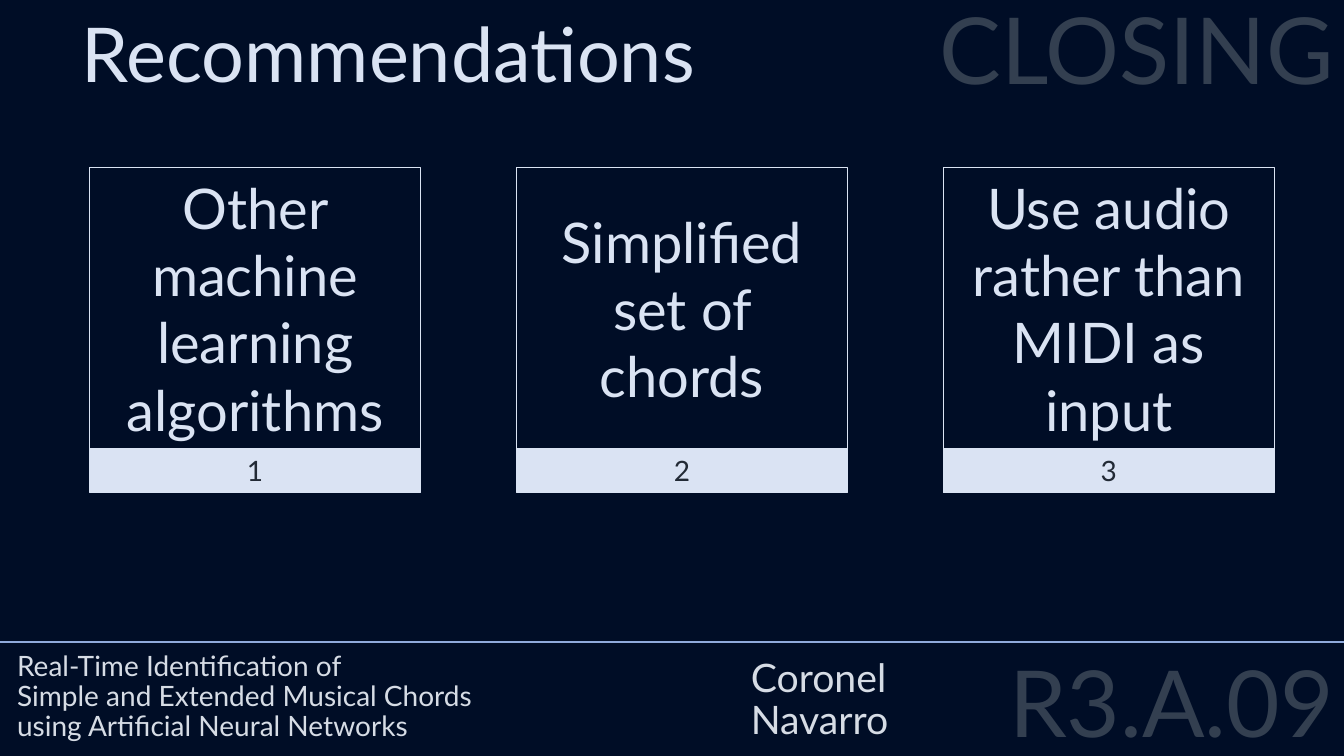
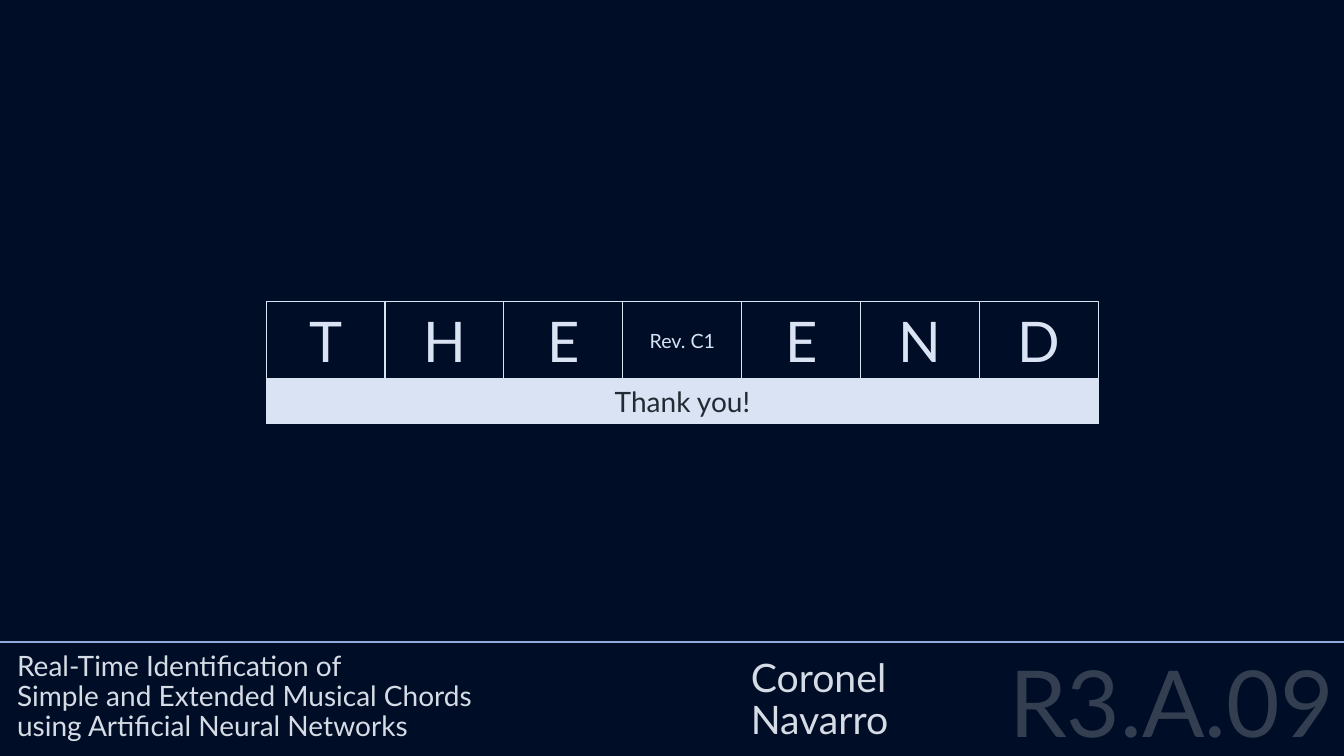
from dataclasses import dataclass
from typing import Any

from lxml.etree import SubElement
from pptx import Presentation
from pptx.dml.color import RGBColor
from pptx.enum.shapes import MSO_CONNECTOR, MSO_SHAPE
from pptx.enum.text import MSO_ANCHOR as Anchor, MSO_AUTO_SIZE as AutoSize, PP_ALIGN as Align
from pptx.oxml.ns import qn
from pptx.slide import Slide
from pptx.util import Inches, Pt

WIDTH, HEIGHT = Inches(13.33), Inches(7.5)
FONT = "Lato"
NAVY, PALE, INK = "000D26", "DAE3F3", "222A35"
GREY, SLATE, BLUE = "D6DCE5", "333F50", "8FAADC"


@dataclass(frozen=True)
class Area:
    """Left, top, width and height as percentages of the slide."""
    left: float
    top: float
    width: float
    height: float

    def emu(self) -> tuple[int, int, int, int]:
        return (across(self.left), down(self.top), across(self.width), down(self.height))

    def column(self, index: int, pitch: float) -> "Area":
        return Area(self.left + index * pitch, self.top, self.width, self.height)

    def below(self, height: float, width: float | None = None) -> "Area":
        return Area(self.left, self.top + self.height, width or self.width, height)


@dataclass(frozen=True)
class Style:
    size: float
    color: str
    align: Align = Align.LEFT
    anchor: Anchor = Anchor.TOP
    line_spacing: float = 1.0
    space_before: float = 0
    grow: bool = False


@dataclass(frozen=True)
class Caption:
    """Text whose paragraphs are split by newlines and lines by vertical tabs."""
    text: str
    area: Area
    style: Style


CODE = Style(66, SLATE, Align.RIGHT, line_spacing=0.8, space_before=10)
SECTION = Style(66, SLATE, Align.RIGHT, line_spacing=0.9, space_before=10)
TITLE = Style(54, PALE, grow=True)
AUTHORS = Style(28, GREY, anchor=Anchor.BOTTOM, line_spacing=0.9)
THESIS = Style(20, GREY, anchor=Anchor.BOTTOM, line_spacing=0.9)
ADVICE = Style(40, PALE, Align.CENTER, Anchor.MIDDLE, grow=True)
LETTER = Style(40, PALE, Align.CENTER, grow=True)
REVISION = Style(14, PALE, Align.CENTER, Anchor.MIDDLE, grow=True)
LABEL = Style(20, INK, Align.CENTER, grow=True)

RULE_TOP = 84.93
LABEL_HEIGHT = 5.87
FOOTER = (
    Caption("R3.A.09", Area(63.47, 87.47, 36.53, 13.87), CODE),
    Caption("Coronel\nNavarro", Area(55.13, 59.07, 38.25, 39.87), AUTHORS),
    Caption("Real-Time Identification of \vSimple and Extended Musical Chords \v"
            "using Artificial Neural Networks", Area(0.53, 59.07, 54.6, 39.87), THESIS),
)
HEADINGS = (
    Caption("CLOSING", Area(16.67, 0, 83.33, 47.73), SECTION),
    Caption("Recommendations", Area(5.33, 0.27, 62.63, 13.47), TITLE),
)

CARD, CARD_PITCH = Area(6.68, 22.13, 24.6, 37.2), 31.76
RECOMMENDATIONS = (
    "Other machine learning algorithms",
    "Simplified set of chords",
    "Use audio rather than MIDI as input",
)

TILE = Area(19.8, 39.87, 8.85, 10.27)
TILES = ("T", "H", "E", "Rev. C1", "E", "N", "D")


def across(share: float) -> int:
    return round(WIDTH * share / 100)


def down(share: float) -> int:
    return round(HEIGHT * share / 100)


def rgb(color: str) -> RGBColor:
    return RGBColor.from_string(color)


def assign(target: Any, values: dict[str, Any]) -> None:
    for attribute, value in values.items():
        setattr(target, attribute, value)


def write(shape: Any, text: str, style: Style) -> None:
    frame = shape.text_frame
    frame.text = text
    assign(frame, {
        "word_wrap": True,
        "vertical_anchor": style.anchor,
        "auto_size": AutoSize.SHAPE_TO_FIT_TEXT if style.grow else AutoSize.NONE,
    })
    for paragraph in frame.paragraphs:
        assign(paragraph, {
            "alignment": style.align,
            "line_spacing": style.line_spacing,
            "space_before": Pt(style.space_before),
        })
        for run in paragraph.runs:
            assign(run.font, {"name": FONT, "size": Pt(style.size)})
            run.font.color.rgb = rgb(style.color)


def add_caption(slide: Slide, caption: Caption) -> None:
    write(slide.shapes.add_textbox(*caption.area.emu()), caption.text, caption.style)


def add_box(slide: Slide, text: str, area: Area, style: Style, fill: str | None = None) -> None:
    box = slide.shapes.add_shape(MSO_SHAPE.RECTANGLE, *area.emu())
    box.shadow.inherit = False
    if fill:
        box.fill.solid()
        box.fill.fore_color.rgb = rgb(fill)
    else:
        box.fill.background()
    box.line.color.rgb = rgb(PALE)
    box.line.width = Pt(0.75)
    write(box, text, style)


def add_label(slide: Slide, text: str, area: Area) -> None:
    add_box(slide, text, area, LABEL, PALE)


def add_page(deck: Any) -> Slide:
    """Add a blank slide with the shared footer."""
    slide = deck.slides.add_slide(deck.slide_layouts[6])
    rule = slide.shapes.add_connector(
        MSO_CONNECTOR.STRAIGHT, 0, down(RULE_TOP), WIDTH, down(RULE_TOP))
    rule.line.color.rgb = rgb(BLUE)
    rule.line.width = Pt(1.5)
    SubElement(rule._element.spPr, qn("a:effectLst"))
    for caption in FOOTER:
        add_caption(slide, caption)
    return slide


def build_recommendations(deck: Any) -> None:
    slide = add_page(deck)
    for heading in HEADINGS:
        add_caption(slide, heading)
    for index, advice in enumerate(RECOMMENDATIONS):
        card = CARD.column(index, CARD_PITCH)
        add_box(slide, advice, card, ADVICE)
        add_label(slide, str(index + 1), card.below(LABEL_HEIGHT))


def build_ending(deck: Any) -> None:
    slide = add_page(deck)
    for index, text in enumerate(TILES):
        style = LETTER if len(text) == 1 else REVISION
        add_box(slide, text, TILE.column(index, TILE.width), style)
    add_label(slide, "Thank you!", TILE.below(LABEL_HEIGHT, TILE.width * len(TILES)))


def main() -> None:
    deck = Presentation()
    assign(deck, {"slide_width": WIDTH, "slide_height": HEIGHT})
    backdrop = deck.slide_master.background.fill
    backdrop.solid()
    backdrop.fore_color.rgb = rgb(NAVY)
    build_recommendations(deck)
    build_ending(deck)
    deck.save("out.pptx")


if __name__ == "__main__":
    main()
